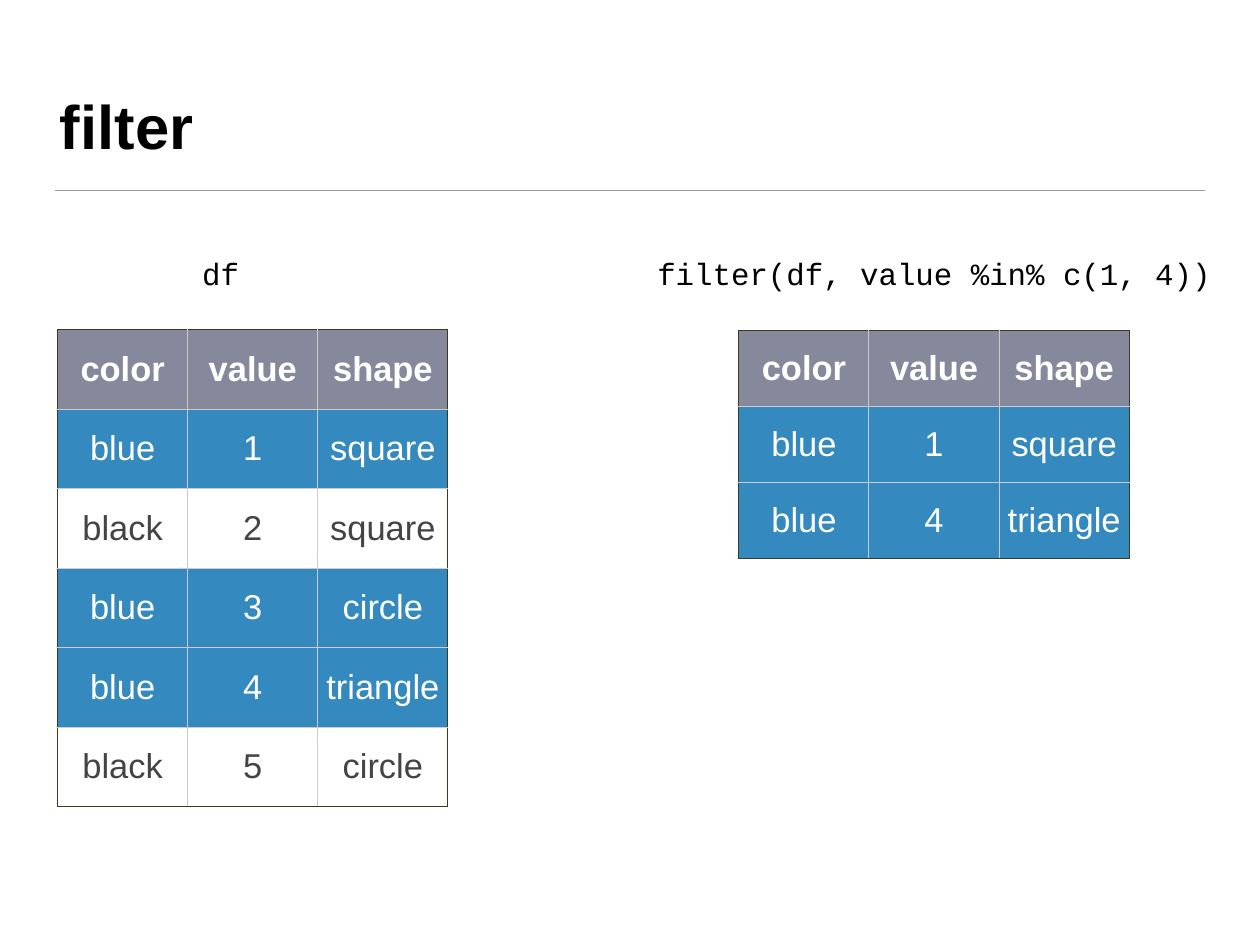
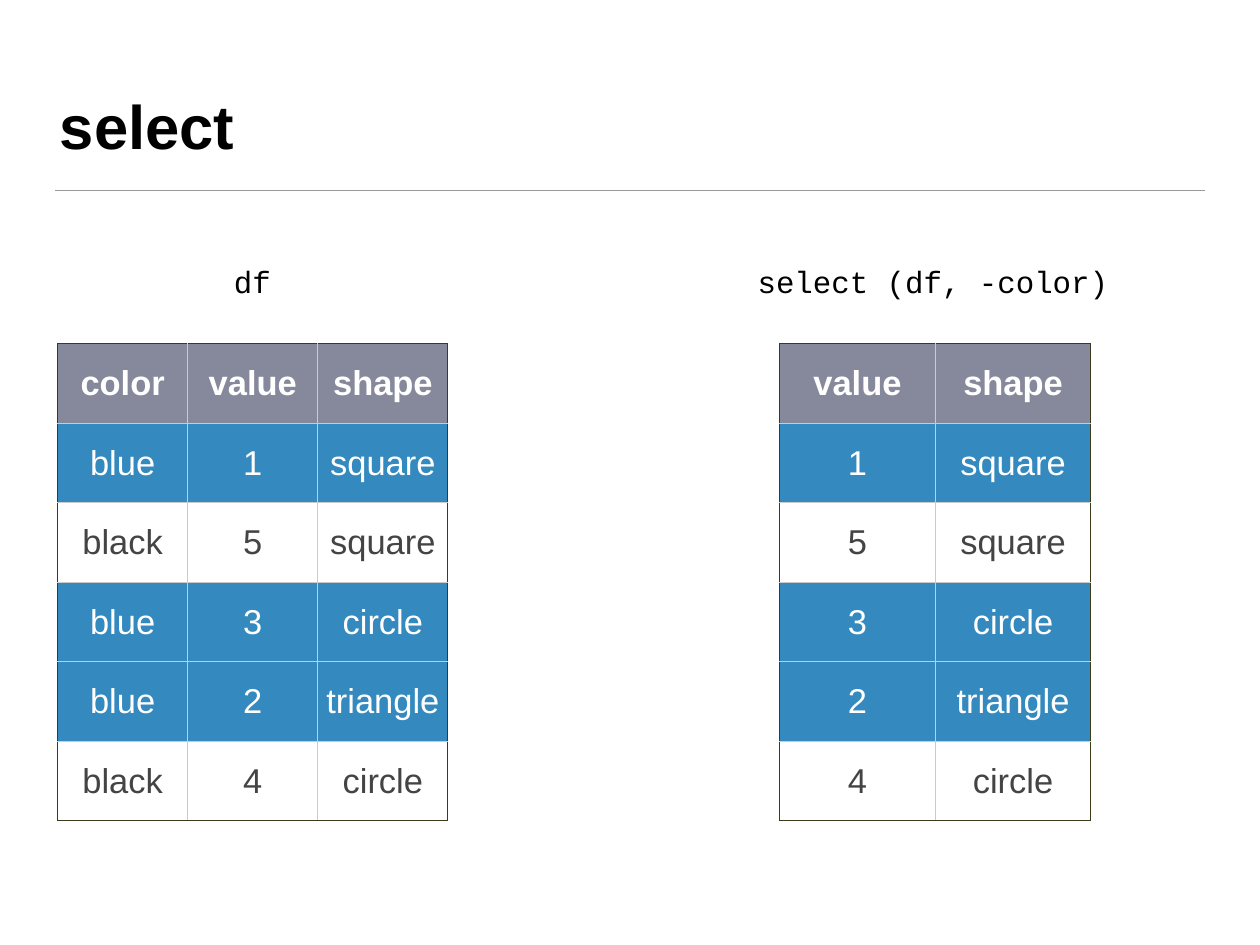
from lxml import etree
from pptx import Presentation
from pptx import util as u
from pptx.dml.color import RGBColor
from pptx.enum import shapes, text
from pptx.oxml.ns import qn

HUES = {"ink": "000000", "rule": "9A9A9A", "head": "86899C", "blue": "3489BE",
        "light": "FFFFFF", "dark": "444444", "edge": "3C3C1D", "grid": "CBCBCB"}
FRAME = {f"margin_{side}": u.Cm(0.15) for side in ("left", "top", "right", "bottom")}
TITLE = {"name": "Arial", "size": u.Pt(50), "bold": True}
CODE = {"name": "Courier New", "size": u.Pt(25), "bold": False}
HEAD = {"name": "Arial", "size": u.Pt(28), "bold": True}
BODY = {**HEAD, "bold": False}
NAMES = ["color", "value", "shape"]
KINDS = [("blue", "square"), ("black", "square"), ("blue", "circle"),
         ("blue", "triangle"), ("black", "circle")]


def assign(item, values):
    for name, value in values.items():
        setattr(item, name, value)


def make_rows(values):
    return [{"color": hue, "value": value, "shape": form}
            for (hue, form), value in zip(KINDS, values)]


class Deck:
    """Hold the shared style and the current slide."""

    def __init__(self):
        self.show = Presentation()
        assign(self.show, {"slide_width": u.Cm(36.12), "slide_height": u.Cm(27.1)})

    def tint(self, name):
        return RGBColor.from_string(HUES[name])

    def put_text(self, frame, words, font, hue, align):
        part = frame.paragraphs[0]
        part.alignment = align
        run = part.add_run()
        run.text = words
        assign(run.font, font)
        run.font.color.rgb = self.tint(hue)

    def start(self, title):
        self.slide = self.show.slides.add_slide(self.show.slide_layouts[6])
        self.rule(1.57, 34.54, 5.46)
        self.label(title, 1.57, 0.91, 32.94, 3.89, TITLE, text.PP_ALIGN.LEFT,
                   {"word_wrap": True, "vertical_anchor": text.MSO_ANCHOR.BOTTOM})

    def rule(self, left, right, top):
        line = self.slide.shapes.add_connector(
            shapes.MSO_CONNECTOR.STRAIGHT, u.Cm(left), u.Cm(top), u.Cm(right), u.Cm(top))
        line.line.width = u.Pt(1)
        line.line.color.rgb = self.tint("rule")
        etree.SubElement(line._element.spPr, qn("a:effectLst"))

    def label(self, words, left, top, width, height, font, align, layout):
        box = self.slide.shapes.add_textbox(u.Cm(left), u.Cm(top), u.Cm(width), u.Cm(height))
        assign(box.text_frame, {**FRAME, **layout})
        self.put_text(box.text_frame, words, font, "ink", align)

    def code(self, words, left, top, width):
        self.label(words, left, top, width, 1.37, CODE, text.PP_ALIGN.CENTER,
                   {"word_wrap": False, "vertical_anchor": text.MSO_ANCHOR.MIDDLE,
                    "auto_size": text.MSO_AUTO_SIZE.SHAPE_TO_FIT_TEXT})

    def border(self, cell, outer):
        props = cell._tc.get_or_add_tcPr()
        for side, edge in zip("LRTB", outer):
            line = etree.SubElement(props, qn(f"a:ln{side}"), w=str(u.Pt(1)))
            fill = etree.SubElement(line, qn("a:solidFill"))
            etree.SubElement(fill, qn("a:srgbClr"), val=HUES["edge" if edge else "grid"])

    def cell(self, cell, words, font, hue, fill, outer):
        assign(cell, {**FRAME, "vertical_anchor": text.MSO_ANCHOR.MIDDLE})
        self.border(cell, outer)
        if fill:
            cell.fill.solid()
            cell.fill.fore_color.rgb = self.tint(fill)
        else:
            cell.fill.background()
        self.put_text(cell.text_frame, words, font, hue, text.PP_ALIGN.CENTER)

    def table(self, rows, names, left, top, width=3.73, height=2.28):
        count, span = len(rows) + 1, len(names)
        table = self.slide.shapes.add_table(
            count, span, u.Cm(left), u.Cm(top), u.Cm(width * span), u.Cm(height * count)).table
        assign(table, {"first_row": False, "horz_banding": False})
        styles = [(HEAD, "light", "head")]
        styles += [(BODY, "light", "blue") if row["color"] == "blue" else (BODY, "dark", None)
                   for row in rows]
        lines = [dict(zip(names, names))] + rows
        for r, (line, style) in enumerate(zip(lines, styles)):
            for c, name in enumerate(names):
                outer = (c == 0, c == span - 1, r == 0, r == count - 1)
                self.cell(table.cell(r, c), str(line[name]), *style, outer)


def main():
    deck = Deck()

    deck.start("filter")
    rows = make_rows([1, 2, 3, 4, 5])
    deck.code("df", 5.64, 7.16, 1.37)
    deck.code("filter(df, value %in% c(1, 4))", 18.67, 7.16, 16.2)
    deck.table(rows, NAMES, 1.65, 9.45)
    deck.table([row for row in rows if row["value"] in (1, 4)], NAMES, 21.18, 9.47, height=2.18)

    deck.start("select")
    rows = make_rows([1, 5, 3, 2, 4])
    deck.code("df", 6.55, 7.37, 1.37)
    deck.code("select (df, -color)", 21.56, 7.37, 10.36)
    deck.table(rows, NAMES, 1.65, 9.86)
    deck.table(rows, NAMES[1:], 22.35, 9.86, width=4.46)

    deck.show.save("out.pptx")


if __name__ == "__main__":
    main()
